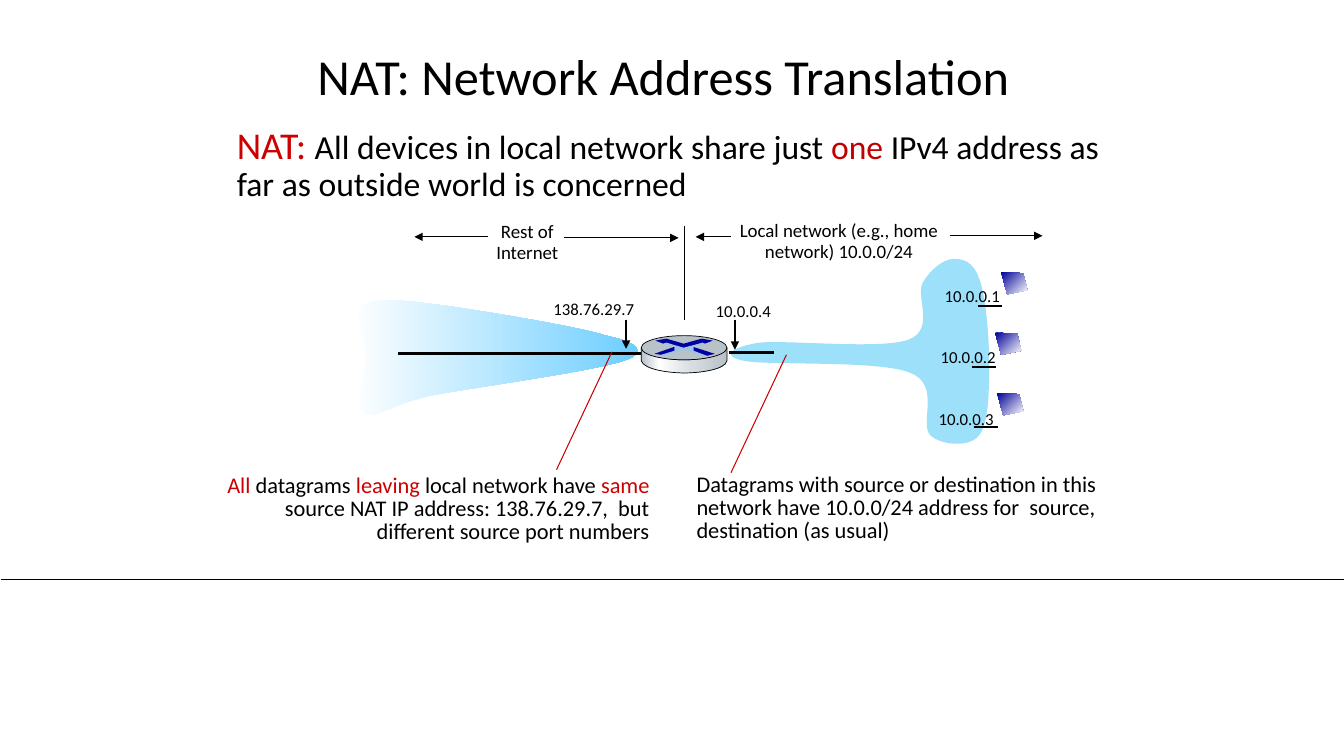
from copy import deepcopy

from lxml import etree
from pptx import Presentation
from pptx.dml.color import RGBColor
from pptx.enum.shapes import MSO_CONNECTOR, MSO_SHAPE
from pptx.enum.text import MSO_ANCHOR, MSO_AUTO_SIZE, PP_ALIGN
from pptx.oxml.ns import qn
from pptx.util import Pt

PX = 9144  # 100 px to the inch
STRAIGHT, OVAL = MSO_CONNECTOR.STRAIGHT, MSO_SHAPE.OVAL
LEFT, CENTER, RIGHT = PP_ALIGN.LEFT, PP_ALIGN.CENTER, PP_ALIGN.RIGHT
MIDDLE, GROW, FIXED = MSO_ANCHOR.MIDDLE, MSO_AUTO_SIZE.SHAPE_TO_FIT_TEXT, MSO_AUTO_SIZE.NONE
FONT = "Calibri"
BLACK, RED, DARK_RED, SKY, STEEL, NAVY = "000000", "CC0000", "C00000", "9CE0FA", "B8C2C9", "0000A3"
SCREEN_FILL = [(0, "000099"), (1, "FFFFFF")]
CLOUD_FILL = [(0, "FFFFFF"), (1, "66CCFF")]
ROUTER_FILL = [(0, STEEL), (0.21, "FFFFFF"), (0.6, "D6DCE0"), (1, STEEL)]


def color(value):
    return RGBColor.from_string(value)


def inside(box, left, top, width, height):
    """Turn a place within a box into a place on the slide."""
    return box[0] + left, box[1] + top, width, height


def apply(target, values):
    for name, value in values.items():
        setattr(target, name, value)


def add_text(slide, box, paragraphs, size, align=LEFT, spacing=1.0, indent=0, **frame_format):
    """Each paragraph is a list of (text, color) or (text, color, size) runs."""
    frame = slide.shapes.add_textbox(*(PX * length for length in box)).text_frame
    apply(frame, {"word_wrap": True, "auto_size": GROW, **frame_format})
    for index, runs in enumerate(paragraphs):
        paragraph = frame.add_paragraph() if index else frame.paragraphs[0]
        apply(paragraph, {"alignment": align, "line_spacing": spacing})
        if indent:
            paragraph._p.get_or_add_pPr().set("marL", str(indent * PX))
        for text, run_color, *run_size in runs:
            run = paragraph.add_run()
            run.text = text
            apply(run.font, {"name": FONT, "size": Pt(run_size[0] if run_size else size)})
            run.font.color.rgb = color(run_color)


def add_address(slide, box, text):
    add_text(slide, box, [[(text, BLACK)]], 12, word_wrap=False)


def add_line(slide, box, start, end, width, line_color=BLACK, arrow=False):
    points = [PX * (origin + offset) for point in (start, end) for origin, offset in zip(box, point)]
    connector = slide.shapes.add_connector(STRAIGHT, *points)
    connector.line.width = Pt(width)
    connector.line.color.rgb = color(line_color)
    if arrow:
        etree.SubElement(connector.line._get_or_add_ln(), qn("a:tailEnd"), type="triangle")
    etree.SubElement(connector._element.spPr, qn("a:effectLst"))


def paint(shape, fill, angle=0, outline=None):
    """Fill with one color, or with a gradient of (position, color) stops."""
    shape.shadow.inherit = False
    if isinstance(fill, str):
        shape.fill.solid()
        shape.fill.fore_color.rgb = color(fill)
    else:
        shape.fill.gradient()
        shape.fill.gradient_angle = angle
        stop_list = shape._element.spPr.find(".//" + qn("a:gsLst"))
        for _ in fill[2:]:
            stop_list.append(deepcopy(stop_list[0]))
        for stop, (position, stop_color) in zip(shape.fill.gradient_stops, fill):
            stop.position = position
            stop.color.rgb = color(stop_color)
    if outline:
        shape.line.width = Pt(outline)
        shape.line.color.rgb = color(BLACK)
    else:
        shape.line.fill.background()


def add_outline(slide, box, segments, fill, angle=0, outline=None):
    """Segments hold 2 numbers for a straight side, 6 for a cubic curve."""
    corners = [(PX * (box[0] + segment[index]), PX * (box[1] + segment[index + 1]))
               for segment in segments for index in range(0, len(segment), 2)]
    builder = slide.shapes.build_freeform(*corners[0])
    builder.add_line_segments(corners[1:], close=True)
    shape = builder.convert_to_shape()
    sides = iter(shape._element.spPr.findall(".//" + qn("a:lnTo")))
    for segment in segments[1:]:
        side = next(sides)
        if len(segment) == 6:
            side.addprevious(curve := etree.Element(qn("a:cubicBezTo")))
            for part in (side, next(sides), next(sides)):
                curve.append(part[0])
                part.getparent().remove(part)
    paint(shape, fill, angle, outline)


def local_network(slide, box):
    add_outline(slide, box, [
        (63, 125), (90, 122, 184, 132, 211, 122), (238, 112, 218, 80, 225, 66),
        (232, 53, 245, 43, 254, 42), (264, 41, 275, 44, 281, 61), (288, 79, 291, 119, 291, 145),
        (291, 171, 291, 205, 281, 217), (272, 229, 244, 227, 233, 217),
        (221, 206, 244, 167, 213, 155), (183, 142, 73, 148, 48, 143),
        (23, 138, 37, 129, 63, 125)], SKY)
    hosts = [("10.0.0.1", 237, 64, 303, 55), ("10.0.0.2", 233, 124, 297, 115),
             ("10.0.0.3", 231, 186, 299, 175)]
    for address, left, top, screen_left, screen_top in hosts:
        add_address(slide, inside(box, left, top, 81, 30), address)
        screen = inside(box, screen_left, screen_top, 26, 22)
        add_outline(slide, screen, [(0, 0), (22, 1), (26, 18), (6, 22)], SCREEN_FILL, angle=315)
        add_line(slide, screen, (-23, 34), (1, 34), 1.5)
    add_address(slide, inside(box, 10, 78, 81, 30), "10.0.0.4")
    add_line(slide, box, (39, 102), (39, 132), 1.5, arrow=True)
    add_text(slide, inside(box, 27, 0, 230, 72),
             [[("Local network (e.g., home network) 10.0.0/24", BLACK)]], 13.5, CENTER, 0.9)
    add_line(slide, box, (252, 19), (344, 19), 0.75, arrow=True)
    add_line(slide, box, (35, 20), (0, 20), 0.75, arrow=True)
    add_line(slide, box, (33, 135), (78, 135), 2)


def rest_of_internet(slide, box):
    add_outline(slide, box, [
        (253, 117), (225, 108, 139, 94, 99, 88), (60, 83, 28, 78, 14, 86),
        (0, 94, 15, 119, 15, 137), (15, 155, 3, 187, 14, 194), (25, 200, 39, 185, 81, 176),
        (124, 168, 241, 152, 270, 142), (298, 133, 282, 123, 253, 117)], CLOUD_FILL)
    add_address(slide, inside(box, 191, 75, 109, 30), "138.76.29.7")
    add_line(slide, box, (273, 101), (273, 130), 1.5, arrow=True)
    add_line(slide, box, (211, 20), (325, 20), 0.75, arrow=True)
    add_line(slide, box, (136, 19), (63, 19), 0.75, arrow=True)
    add_text(slide, inside(box, 132, 0, 86, 51), [[("Rest of", BLACK)], [("Internet", BLACK)]],
             13.5, CENTER, 0.9, word_wrap=False)
    add_line(slide, box, (47, 135), (288, 135), 2)


def router(slide, box):
    """The router, with the line above it that parts the two networks."""
    add_line(slide, box, (43, 0), (43, 93), 0.75)
    add_outline(slide, box, [
        (85, 121), (85, 134), (83, 143, 57, 146, 43, 146), (29, 146, 3, 143, 0, 134),
        (0, 131, 0, 125, 0, 121), (4, 129, 28, 133, 42, 133), (57, 133, 81, 130, 85, 121)],
        ROUTER_FILL, outline=0.5)
    top_face = inside(box, 0, 109, 85, 24)
    paint(slide.shapes.add_shape(OVAL, *(PX * length for length in top_face)), STEEL, outline=0.5)
    upper_arrows = [(60, 112), (71, 114), (63, 117), (61, 116), (42, 122), (25, 116),
                    (22, 117), (14, 114), (25, 112), (42, 117)]
    right_arrow = [(51, 120), (73, 127), (65, 129), (51, 124)]
    left_arrow = [(33, 120), (33, 125), (20, 128), (13, 127)]
    cross = [(22, 117), (25, 116), (42, 121), (61, 116), (63, 117), (52, 120), (52, 124),
             (65, 129), (62, 129), (42, 123), (23, 129), (20, 128), (33, 124), (33, 120)]
    for sides, fill in ((upper_arrows, NAVY), (right_arrow, NAVY), (left_arrow, "0000A8"),
                        (cross, "9DC3E6")):
        add_outline(slide, box, sides, fill)


def note(slide, box, runs, align, leader_left, leader_top):
    """A remark with a red line up to the link it speaks of."""
    add_text(slide, box, [runs], 16, align, 0.85)
    add_line(slide, box, (leader_left, leader_top), (leader_left + 55, leader_top - 117), 0.75, RED)


def nat_slide(slide, box):
    add_line(slide, box, (1, 575), (box[2] + 2, 575), 0.5)
    local_network(slide, inside(box, 690, 215, 344, 230))
    rest_of_internet(slide, inside(box, 348, 216, 325, 200))
    router(slide, inside(box, 636, 224, 85, 146))
    add_text(slide, inside(box, 227, 35, 862, 88), [[("NAT: Network Address Translation", BLACK)]],
             36, CENTER, 0.9, auto_size=FIXED, vertical_anchor=MIDDLE)
    note(slide, inside(box, 681, 466, 449, 80),
         [("Datagrams with source or destination in this network have 10.0.0/24 address for  "
           "source, destination (as usual)", BLACK)], LEFT, 44, 3)
    note(slide, inside(box, 201, 467, 453, 80),
         [("All ", RED), ("datagrams ", BLACK), ("leaving", RED), (" local network have ", BLACK),
          ("same", RED), (" source NAT IP address: 138.76.29.7,  but different source port numbers",
                          BLACK)], RIGHT, 351, -1)
    add_text(slide, inside(box, 205, 121, 912, 88),
             [[("NAT: ", RED, 27), ("All devices in local network share just ", BLACK),
               ("one", DARK_RED), (" IPv4 address as far as outside world is concerned", BLACK)]],
             24, spacing=0.9, indent=20)


def main():
    presentation = Presentation()
    apply(presentation, {"slide_width": 1333 * PX, "slide_height": 750 * PX})
    slide = presentation.slides.add_slide(presentation.slide_layouts[6])
    nat_slide(slide, (0, 0, 1333, 750))
    presentation.save("out.pptx")


if __name__ == "__main__":
    main()
